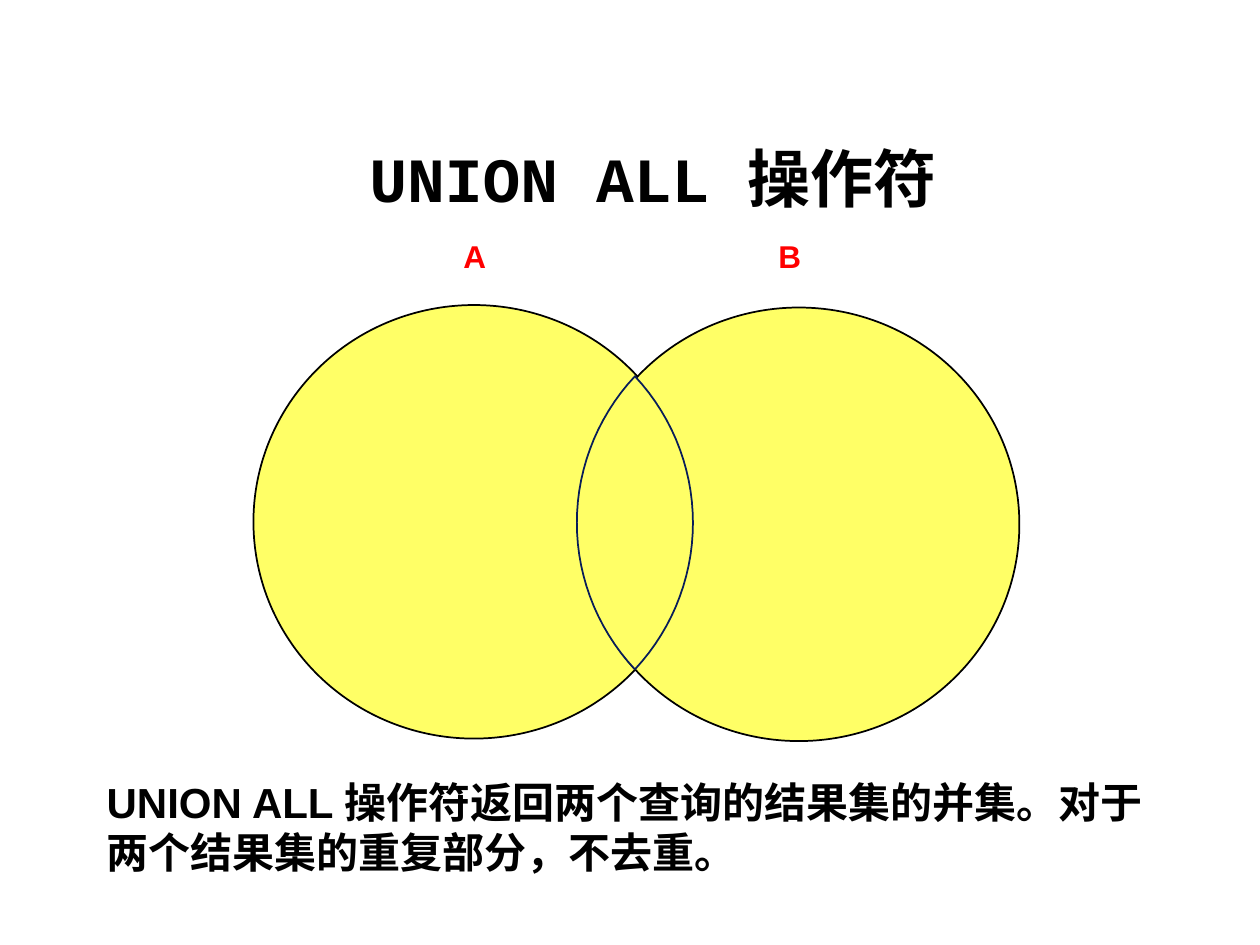
"""Build the UNION ALL Venn diagram slide."""
import math

from pptx import Presentation
from pptx import util as u
from pptx.dml.color import RGBColor
from pptx.enum import shapes, text

BLACK = RGBColor(0x00, 0x00, 0x00)
RED = RGBColor(0xFF, 0x00, 0x00)
YELLOW = RGBColor(0xFF, 0xFF, 0x66)
NAVY = RGBColor(0x08, 0x1D, 0x58)

TITLE = [("UNION ALL ", "Courier New"), ("操作符", "Arial")]
SETS = [("A", 9.09, 5.11, 6.15), ("B", 15.44, 11.66, 6.2)]
NOTE = "UNION ALL 操作符返回两个查询的结果集的并集。对于两个结果集的重复部分，不去重。"

CIRCLE_W, CIRCLE_H = 8.89, 8.74
LENS_X, LENS_Y = 12.8, 10.54
LENS_HALF_W = 1.17
ARC_STEPS = 30


def box(*lengths):
    return [u.Cm(v) for v in lengths]


def style_run(r, size, color, font="Arial"):
    r.font.name = font
    r.font.size = u.Pt(size)
    r.font.bold = True
    r.font.color.rgb = color


def style_shape(sp, line):
    sp.shadow.inherit = False
    sp.fill.solid()
    sp.fill.fore_color.rgb = YELLOW
    sp.line.color.rgb = line
    sp.line.width = u.Pt(1)


def add_text(parent, content, position, size, color, wrap):
    tf = parent.add_textbox(*box(*position)).text_frame
    tf.word_wrap = wrap
    tf.auto_size = text.MSO_AUTO_SIZE.SHAPE_TO_FIT_TEXT
    tf.text = content
    style_run(tf.paragraphs[0].runs[0], size, color)


def lens_points():
    rx, ry = CIRCLE_W / 2, CIRCLE_H / 2
    offset = rx - LENS_HALF_W
    limit = math.acos(offset / rx)
    for side in (1, -1):
        for i in range(ARC_STEPS):
            t = side * limit * (2 * i / ARC_STEPS - 1)
            yield (u.Cm(LENS_X + side * (rx * math.cos(t) - offset)),
                   u.Cm(LENS_Y + ry * math.sin(t)))


prs = Presentation()
prs.slide_width, prs.slide_height = box(25.4, 19.05)
s = prs.slides.add_slide(prs.slide_layouts[5])

title = s.shapes.title
title.left, title.top, title.width, title.height = box(7.19, 2.69, 15.44, 1.96)
tf = title.text_frame
tf.word_wrap = True
tf.auto_size = text.MSO_AUTO_SIZE.NONE
tf.vertical_anchor = text.MSO_ANCHOR.MIDDLE
p = tf.paragraphs[0]
p.alignment = text.PP_ALIGN.LEFT
p.line_spacing = 0.9
for words, font in TITLE:
    r = p.add_run()
    r.text = words
    style_run(r, 36, BLACK, font)

for label, label_x, circle_x, circle_y in SETS:
    group = s.shapes.add_group_shape().shapes
    circle = group.add_shape(shapes.MSO_SHAPE.OVAL,
                             *box(circle_x, circle_y, CIRCLE_W, CIRCLE_H))
    style_shape(circle, BLACK)
    add_text(group, label, (label_x, 4.65, 0.97, 1.02), 18, RED, False)

start, *rest = lens_points()
outline = s.shapes.build_freeform(*start)
outline.add_line_segments(rest, close=True)
style_shape(outline.convert_to_shape(), NAVY)

add_text(s.shapes, NOTE, (1.9, 15.52, 22, 2.31), 24, BLACK, True)

prs.save("out.pptx")
